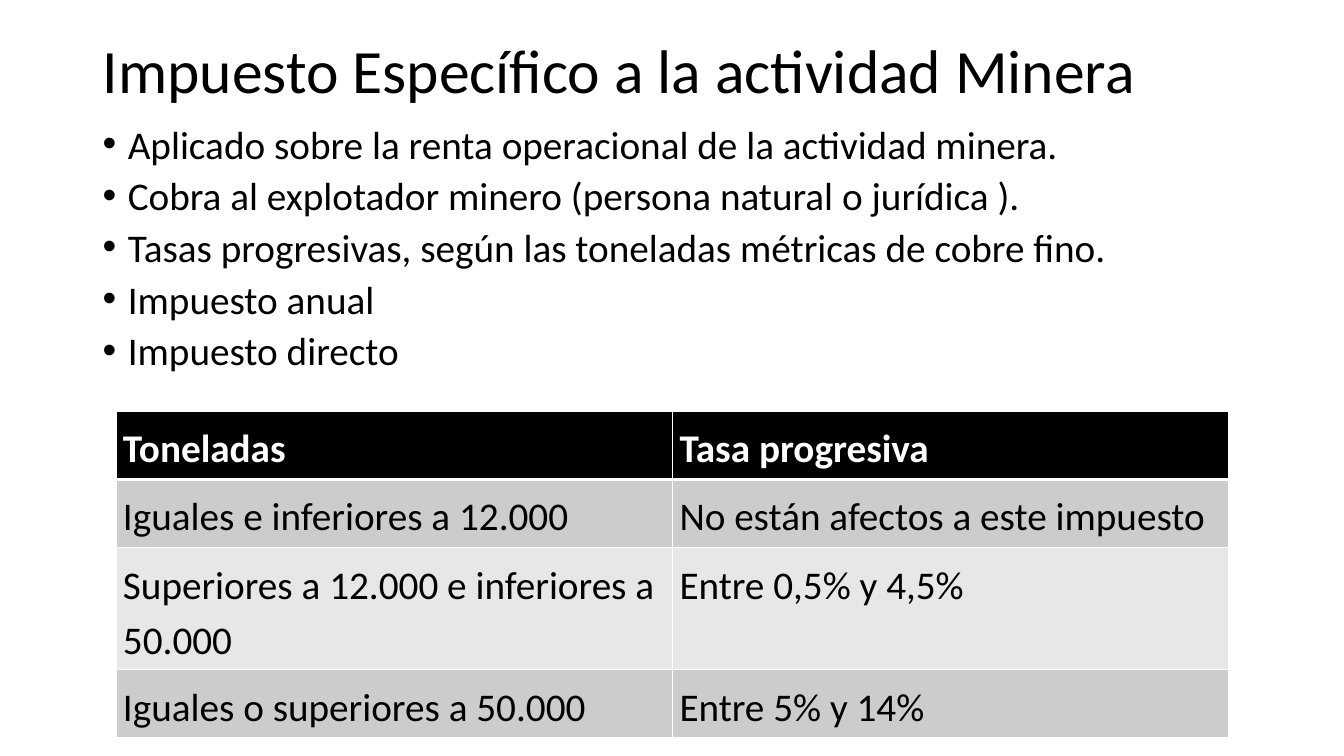
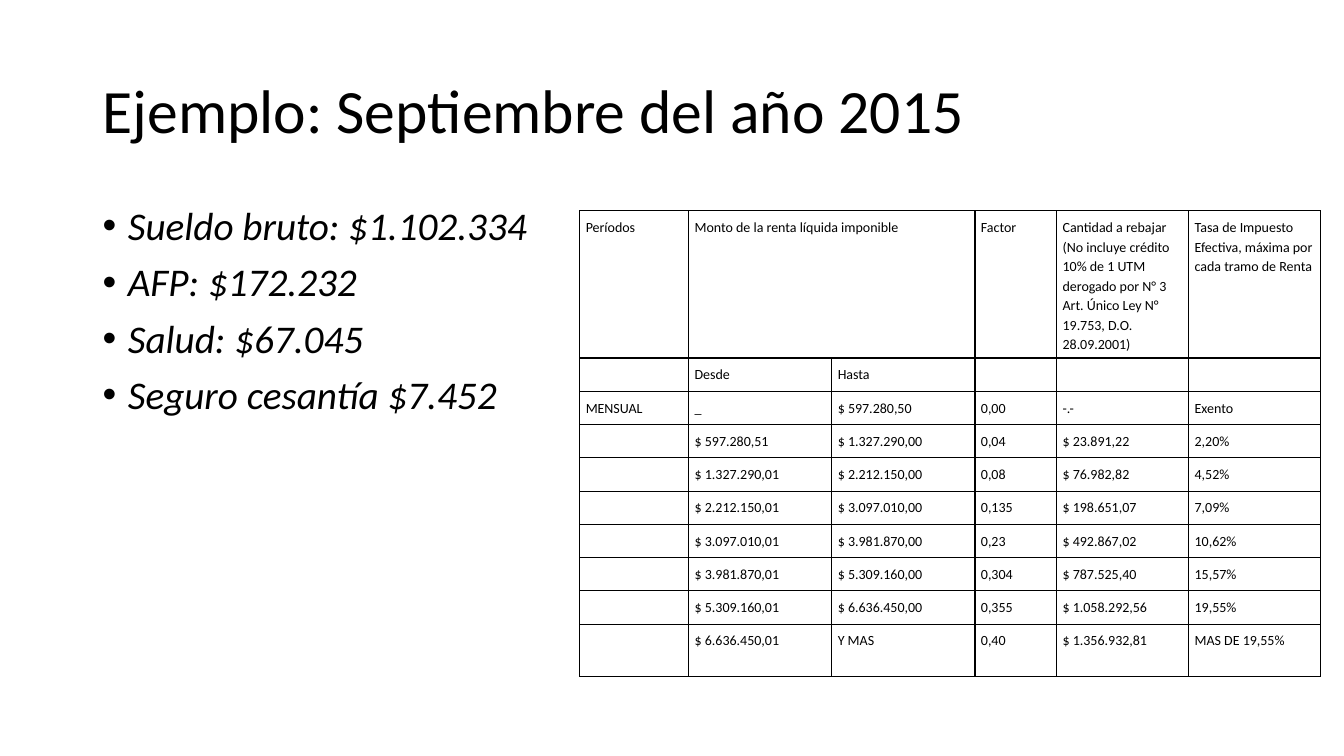
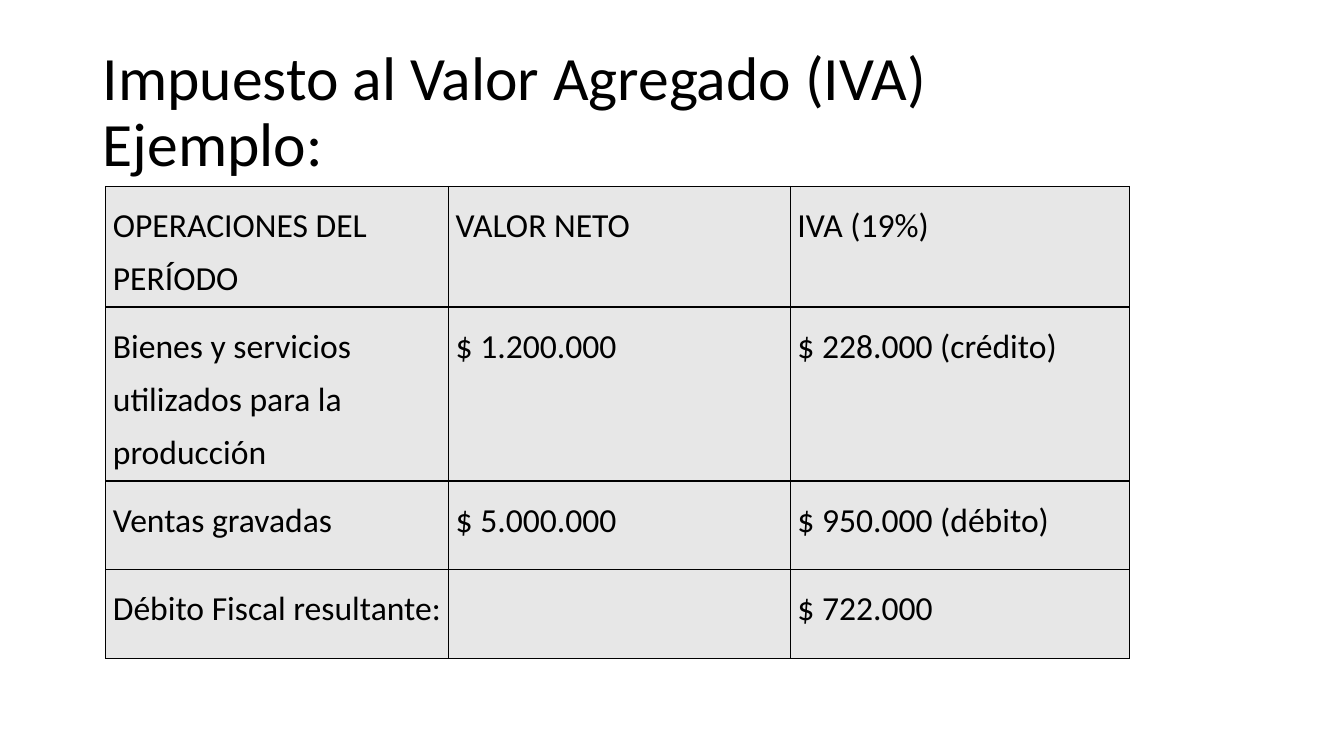
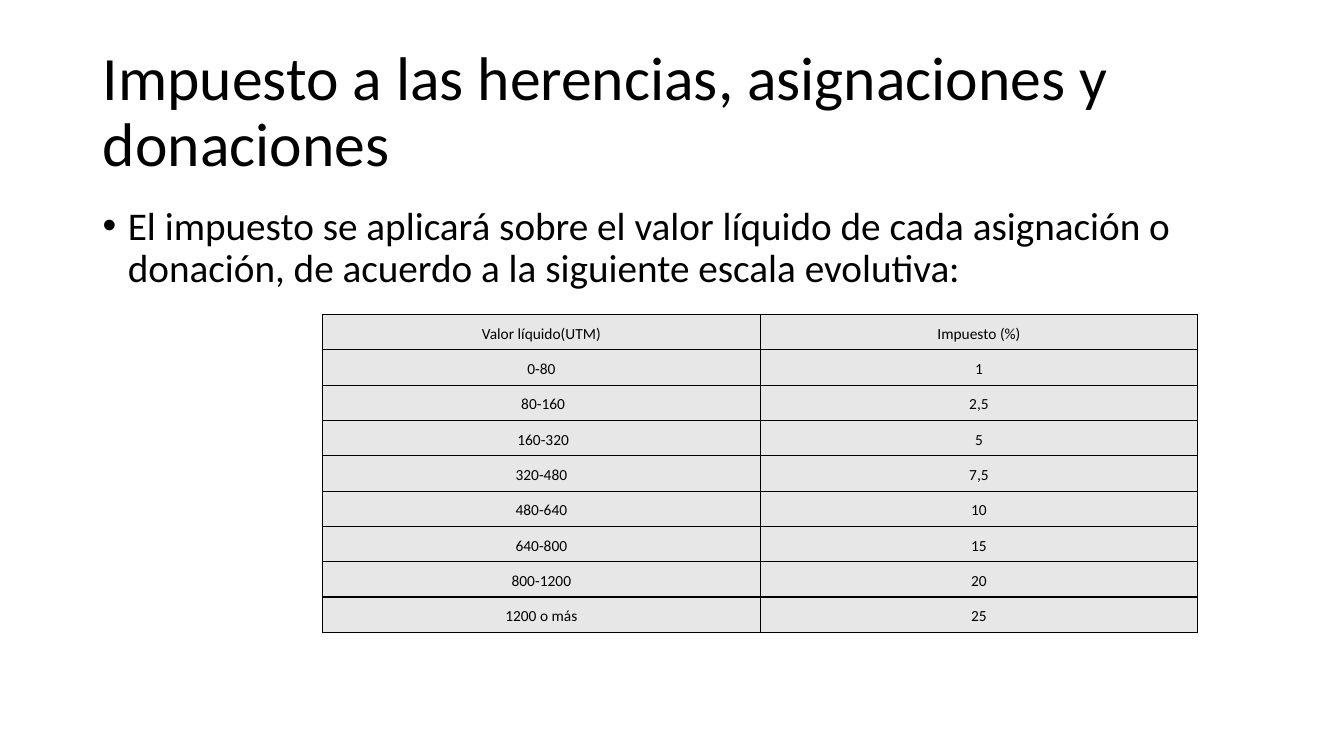
import lxml.etree
import pptx
import pptx.dml.color
import pptx.enum.text
import pptx.oxml.ns
import pptx.util

Inches = pptx.util.Inches
Pt = pptx.util.Pt
qn = pptx.oxml.ns.qn
LEFT = pptx.enum.text.PP_ALIGN.LEFT
CENTER = pptx.enum.text.PP_ALIGN.CENTER


class Theme:
    font = "Calibri"
    black, white = "000000", "FFFFFF"
    dark_band, light_band = "CCCCCC", "E7E7E7"
    title_size, body_size = 44, 28
    margin, content_width = 0.92, 11.5
    title_height = 1.45
    tight_spacing, table_spacing = 0.9, 1.15


def format_paragraph(paragraph, size, spacing, color=Theme.black, bold=False, italic=False, align=LEFT):
    paragraph.line_spacing = spacing
    paragraph.alignment = align
    for run in paragraph.runs:
        run.font.name = Theme.font
        run.font.size = Pt(size)
        run.font.bold = bold
        run.font.italic = italic
        run.font.color.rgb = pptx.dml.color.RGBColor.from_string(color)
    if not paragraph.runs:
        # An empty cell keeps the row low only with the table's own type size
        lxml.etree.SubElement(paragraph._p, qn("a:endParaRPr"), sz=str(size * 100))


def add_border(cell, side, color, width):
    line = lxml.etree.SubElement(cell._tc.get_or_add_tcPr(), qn(f"a:ln{side}"), w=str(Pt(width)))
    fill = lxml.etree.SubElement(line, qn("a:solidFill"))
    lxml.etree.SubElement(fill, qn("a:srgbClr"), val=color)


# Content: None in a row continues the cell to its left
slides = [
    dict(
        title="Impuesto Específico a la actividad Minera",
        title_top=0,
        bullets=[
            "Aplicado sobre la renta operacional de la actividad minera.",
            "Cobra al explotador minero (persona natural o jurídica ).",
            "Tasas progresivas, según las toneladas métricas de cobre fino.",
            "Impuesto anual",
            "Impuesto directo",
        ],
        bullet_box=(1.23, Theme.content_width, 2.65),
        bullet_spacing=0.8,
        table=dict(
            at=(1.15, 4.08), size=28, inset=0.07, border=Theme.white, header=True,
            fills=[Theme.dark_band, Theme.light_band],
            widths=[5.52] * 2,
            heights=[0.57, 0.57, 1.05, 0.57],
            rows=[
                ["Toneladas", "Tasa progresiva"],
                ["Iguales e inferiores a 12.000", "No están afectos a este impuesto"],
                ["Superiores a 12.000 e inferiores a 50.000", "Entre 0,5% y 4,5%"],
                ["Iguales o superiores a 50.000", "Entre 5% y 14%"],
            ],
        ),
    ),
    dict(
        title="Ejemplo: Septiembre del año 2015",
        bullets=[
            "Sueldo bruto: $1.102.334",
            "AFP: $172.232",
            "Salud: $67.045",
            "Seguro cesantía $7.452",
        ],
        bullet_box=(2, 5.13, 4.76),
        italic=True,
        table=dict(
            at=(5.75, 2.09), size=10, inset=0.06, fills=[None],
            widths=[1.08, 1.42, 1.42, 0.81, 1.31, 1.31],
            heights=[1.4] + [0.33] * 8 + [0.52],
            rows=[
                ["Períodos", "Monto de la renta líquida imponible", None, "Factor",
                 "Cantidad a rebajar (No incluye crédito 10% de 1 UTM derogado por N° 3 "
                 "Art. Único Ley N° 19.753, D.O. 28.09.2001)",
                 "Tasa de Impuesto Efectiva, máxima por cada tramo de Renta"],
                ["", "Desde", "Hasta", "", "", ""],
                ["MENSUAL", "_", "$ 597.280,50", "0,00", "-.-", "Exento"],
                ["", "$ 597.280,51", "$ 1.327.290,00", "0,04", "$ 23.891,22", "2,20%"],
                ["", "$ 1.327.290,01", "$ 2.212.150,00", "0,08", "$ 76.982,82", "4,52%"],
                ["", "$ 2.212.150,01", "$ 3.097.010,00", "0,135", "$ 198.651,07", "7,09%"],
                ["", "$ 3.097.010,01", "$ 3.981.870,00", "0,23", "$ 492.867,02", "10,62%"],
                ["", "$ 3.981.870,01", "$ 5.309.160,00", "0,304", "$ 787.525,40", "15,57%"],
                ["", "$ 5.309.160,01", "$ 6.636.450,00", "0,355", "$ 1.058.292,56", "19,55%"],
                ["", "$ 6.636.450,01", "Y MAS", "0,40", "$ 1.356.932,81", "MAS DE 19,55%"],
            ],
        ),
    ),
    dict(
        title="Impuesto al Valor Agregado (IVA) \vEjemplo:",
        table=dict(
            at=(1.05, 1.85), size=24, inset=0.07, spacing=1.3, fills=[Theme.light_band],
            widths=[3.4, 3.39, 3.36],
            heights=[1.18, 1.44, 0.88, 0.88],
            rows=[
                ["OPERACIONES DEL PERÍODO", "VALOR NETO", "IVA (19%)"],
                ["Bienes y servicios utilizados para la producción", "$ 1.200.000", "$ 228.000 (crédito)"],
                ["Ventas gravadas", "$ 5.000.000", "$ 950.000 (débito)"],
                ["Débito Fiscal resultante:", "", "$ 722.000"],
            ],
        ),
    ),
    dict(
        title="Impuesto a las herencias, asignaciones y donaciones",
        bullets=[
            "El impuesto se aplicará sobre el valor líquido de cada asignación o donación, "
            "de acuerdo a la siguiente escala evolutiva:",
        ],
        bullet_box=(2, Theme.content_width, 4.76),
        table=dict(
            at=(3.2, 3.12), size=11, inset=0.07, align=CENTER, fills=[Theme.light_band],
            widths=[4.34] * 2,
            heights=[0.35] * 9,
            rows=[
                ["Valor líquido(UTM)", "Impuesto (%)"],
                ["0-80", "1"],
                [" 80-160", "2,5"],
                [" 160-320", "5"],
                ["320-480", "7,5"],
                ["480-640", "10"],
                ["640-800", "15"],
                ["800-1200", "20"],
                ["1200 o más", "25"],
            ],
        ),
    ),
]

deck = pptx.Presentation()
deck.slide_width, deck.slide_height = Inches(13.33), Inches(7.5)

for content in slides:
    slide = deck.slides.add_slide(deck.slide_layouts[5])

    # Title
    title = slide.shapes.title
    title.left, title.top = Inches(Theme.margin), Inches(content.get("title_top", 0.4))
    title.width, title.height = Inches(Theme.content_width), Inches(Theme.title_height)
    title.text_frame.text = content["title"]
    title.text_frame.auto_size = pptx.enum.text.MSO_AUTO_SIZE.NONE
    title.text_frame.vertical_anchor = pptx.enum.text.MSO_ANCHOR.MIDDLE
    format_paragraph(title.text_frame.paragraphs[0], Theme.title_size, Theme.tight_spacing)

    # Bullets
    if "bullets" in content:
        top, width, height = content["bullet_box"]
        points = slide.shapes.add_textbox(
            Inches(Theme.margin), Inches(top), Inches(width), Inches(height)).text_frame
        points.word_wrap = True
        points.text = "\n".join(content["bullets"])
        for point in points.paragraphs:
            format_paragraph(point, Theme.body_size, content.get("bullet_spacing", Theme.tight_spacing),
                             italic=content.get("italic", False))
            point.space_before = Pt(10)
            properties = point._p.get_or_add_pPr()
            properties.set("marL", str(Inches(0.25)))
            properties.set("indent", str(Inches(-0.25)))
            lxml.etree.SubElement(properties, qn("a:buFont"), typeface="Arial")
            lxml.etree.SubElement(properties, qn("a:buChar"), char="•")

    # Table
    spec_table = content["table"]
    rows, widths, heights = spec_table["rows"], spec_table["widths"], spec_table["heights"]
    left, top = spec_table["at"]
    table = slide.shapes.add_table(
        len(rows), len(widths), Inches(left), Inches(top),
        Inches(sum(widths)), Inches(sum(heights))).table
    has_header = spec_table.get("header", False)
    table.first_row = has_header
    table.horz_banding = False
    for column, width in zip(table.columns, widths):
        column.width = Inches(width)
    for row, height in zip(table.rows, heights):
        row.height = Inches(height)

    for r, row in enumerate(rows):
        is_header = has_header and r == 0
        for c, wording in enumerate(row):
            cell = table.cell(r, c)
            cell.margin_left = cell.margin_right = Inches(spec_table["inset"])
            cell.margin_top = cell.margin_bottom = Inches(spec_table["inset"])
            for side in "LRTB":
                under_header = has_header and (r, side) in [(0, "B"), (1, "T")]
                add_border(cell, side, spec_table.get("border", Theme.black), 3 if under_header else 1)

            band = Theme.black if is_header else spec_table["fills"][(r - 1) % len(spec_table["fills"])]
            if band:
                cell.fill.solid()
                cell.fill.fore_color.rgb = pptx.dml.color.RGBColor.from_string(band)
            else:
                cell.fill.background()

            cell.text_frame.text = wording or ""
            format_paragraph(
                cell.text_frame.paragraphs[0], spec_table["size"],
                spec_table.get("spacing", Theme.table_spacing),
                color=Theme.white if is_header else Theme.black,
                bold=is_header, align=spec_table.get("align", LEFT))
            if wording is None:
                table.cell(r, c - 1).merge(cell)

deck.save("out.pptx")
